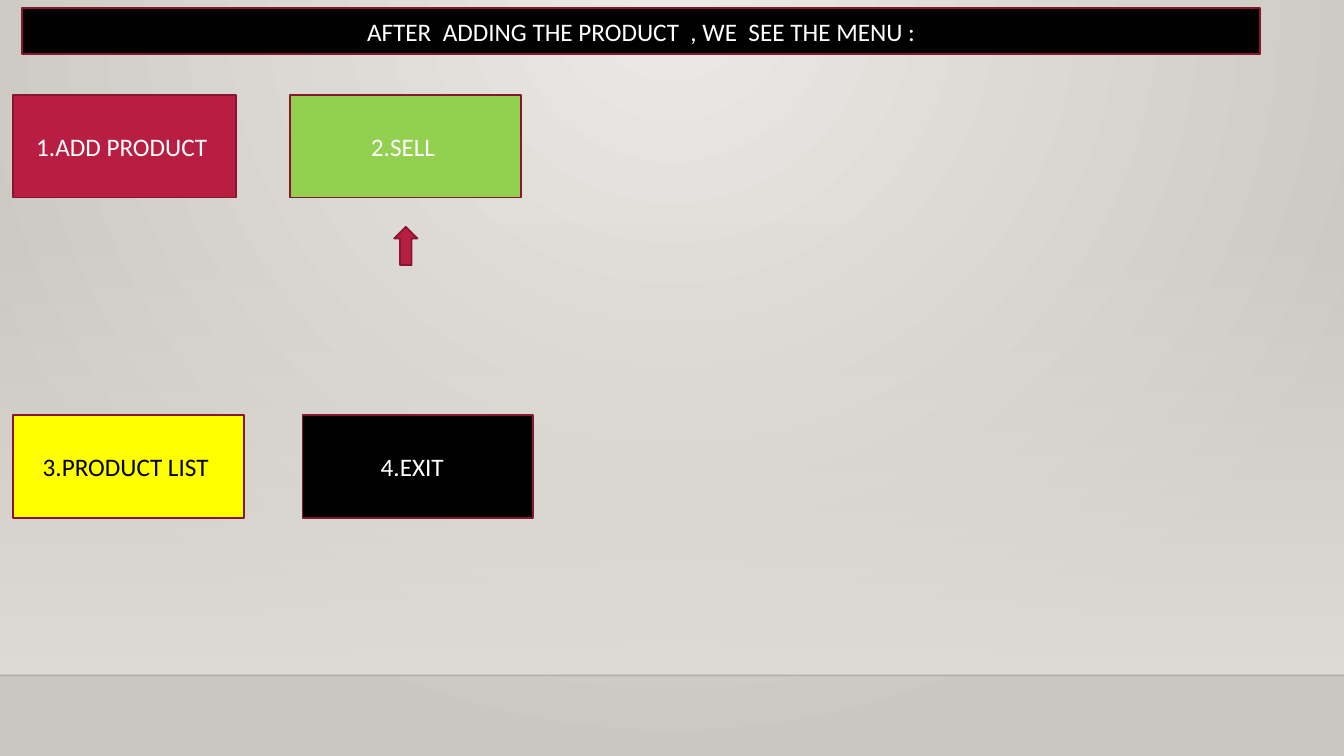
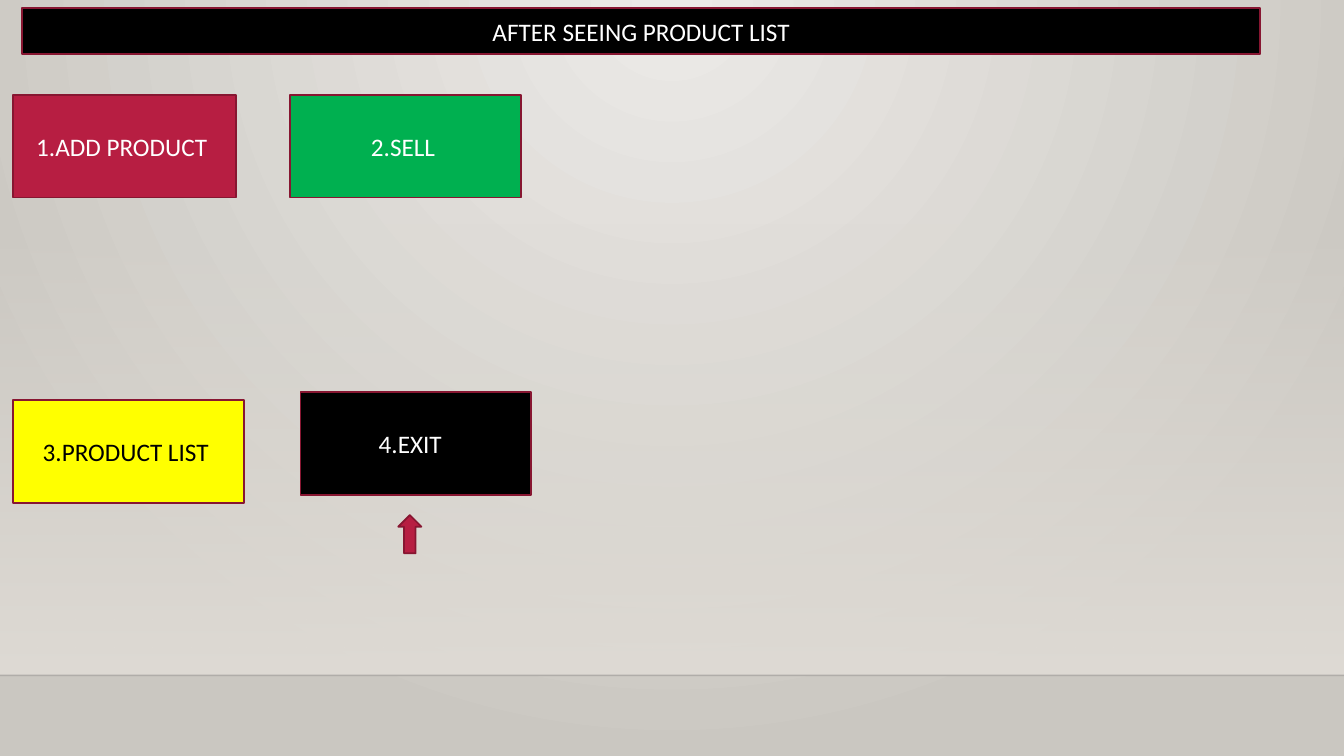
from lxml.etree import SubElement
from pptx import Presentation
from pptx.dml.color import RGBColor
from pptx.enum.shapes import MSO_CONNECTOR, MSO_SHAPE
from pptx.enum.text import MSO_ANCHOR, PP_ALIGN
from pptx.oxml.ns import qn
from pptx.util import Inches, Pt

SLIDE_W, SLIDE_H = 13.33, 7.5
FONT = "Calibri"
CRIMSON, BORDER = "B71E42", "871631"
BLACK, WHITE, YELLOW = "000000", "FFFFFF", "FFFF00"
LIME, GREEN = "92D050", "00B050"
GLOW, EDGE, FLOOR = "ECEAE7", "CAC7C1", "DFDBD5"
HORIZON = "000001"

TITLE_BOX = (0.22, 0.08, 12.28, 0.46)
FLOOR_BOX = (0, 2.21, SLIDE_W, 4.49)
BUTTON_W, BUTTON_H = 2.29, 1.02
ADD_W = 2.21
LEFT, TOP = 0.13, 0.94
SELL_LEFT = 2.88
ARROW_W, ARROW_H = 0.23, 0.38


def rgb(color):
    return RGBColor.from_string(color)


def set_alpha(color_element, percent):
    SubElement(color_element, qn("a:alpha")).set("val", str(percent * 1000))


def set_gradient(fill, start, end):
    fill.gradient()
    for stop, color, position in zip(fill.gradient_stops, (start, end), (0, 1)):
        stop.color.rgb = rgb(color)
        stop.position = position


def add_panel(slide, box, fill, preset=MSO_SHAPE.RECTANGLE):
    """Bordered shape shared by the title, the buttons and the arrow."""
    panel = slide.shapes.add_shape(preset, *map(Inches, box))
    panel.shadow.inherit = False
    panel.fill.solid()
    panel.fill.fore_color.rgb = rgb(fill)
    panel.line.color.rgb = rgb(BORDER)
    panel.line.width = Pt(1.25)
    return panel


def add_label(slide, box, text, fill, text_color=WHITE):
    frame = add_panel(slide, box, fill).text_frame
    frame.word_wrap = True
    frame.vertical_anchor = MSO_ANCHOR.MIDDLE
    frame.text = text
    paragraph = frame.paragraphs[0]
    paragraph.alignment = PP_ALIGN.CENTER
    font = paragraph.runs[0].font
    font.name, font.size = FONT, Pt(18)
    font.color.rgb = rgb(text_color)


def add_backdrop(slide, floor_box):
    # Glow from the top centre
    set_gradient(slide.background.fill, GLOW, EDGE)
    glow = slide.element.find(".//" + qn("a:gradFill"))
    glow.remove(glow.find(qn("a:lin")))
    circle = SubElement(glow, qn("a:path"))
    circle.set("path", "circle")
    center = SubElement(circle, qn("a:fillToRect"))
    for side, percent in (("l", 43), ("t", 0), ("r", 43), ("b", 100)):
        center.set(side, str(percent * 1000))

    # Floor that fades in downwards
    floor = slide.shapes.add_shape(MSO_SHAPE.RECTANGLE, *map(Inches, floor_box))
    floor.shadow.inherit = False
    floor.line.fill.background()
    set_gradient(floor.fill, FLOOR, FLOOR)
    floor.fill.gradient_angle = 270
    set_alpha(floor.element.find(".//" + qn("a:srgbClr")), 0)

    # Horizon along the foot of the floor
    left, top, width, height = floor_box
    horizon_y = Inches(top + height)
    horizon = slide.shapes.add_connector(
        MSO_CONNECTOR.STRAIGHT, Inches(left), horizon_y, Inches(left + width), horizon_y)
    horizon.line.color.rgb = rgb(HORIZON)
    horizon.line.width = Pt(1)
    set_alpha(horizon.element.find(".//" + qn("a:srgbClr")), 20)
    SubElement(horizon.element.spPr, qn("a:effectLst"))


def add_menu(slide, sell_fill, list_top, exit_at):
    add_label(slide, (LEFT, TOP, ADD_W, BUTTON_H), "1.ADD PRODUCT ", CRIMSON)
    add_label(slide, (SELL_LEFT, TOP, BUTTON_W, BUTTON_H), "2.SELL ", sell_fill)
    add_label(slide, (LEFT, list_top, BUTTON_W, BUTTON_H), "3.PRODUCT LIST ", YELLOW, BLACK)
    add_label(slide, (*exit_at, BUTTON_W, BUTTON_H), "4.EXIT  ", BLACK)


def add_menu_slide(deck, title, sell_fill, list_top, exit_at, arrow_at):
    slide = deck.slides.add_slide(deck.slide_layouts[6])
    add_backdrop(slide, FLOOR_BOX)
    add_menu(slide, sell_fill, list_top, exit_at)
    add_label(slide, TITLE_BOX, title, BLACK)
    # Arrow under the chosen menu item
    add_panel(slide, (*arrow_at, ARROW_W, ARROW_H), CRIMSON, MSO_SHAPE.UP_ARROW)


deck = Presentation()
deck.slide_width, deck.slide_height = Inches(SLIDE_W), Inches(SLIDE_H)
add_menu_slide(deck, "AFTER  ADDING THE PRODUCT  , WE  SEE THE MENU :",
               LIME, list_top=4.12, exit_at=(3, 4.12), arrow_at=(3.91, 2.25))
add_menu_slide(deck, "AFTER SEEING PRODUCT LIST",
               GREEN, list_top=3.97, exit_at=(2.98, 3.89), arrow_at=(3.95, 5.11))
deck.save("out.pptx")
